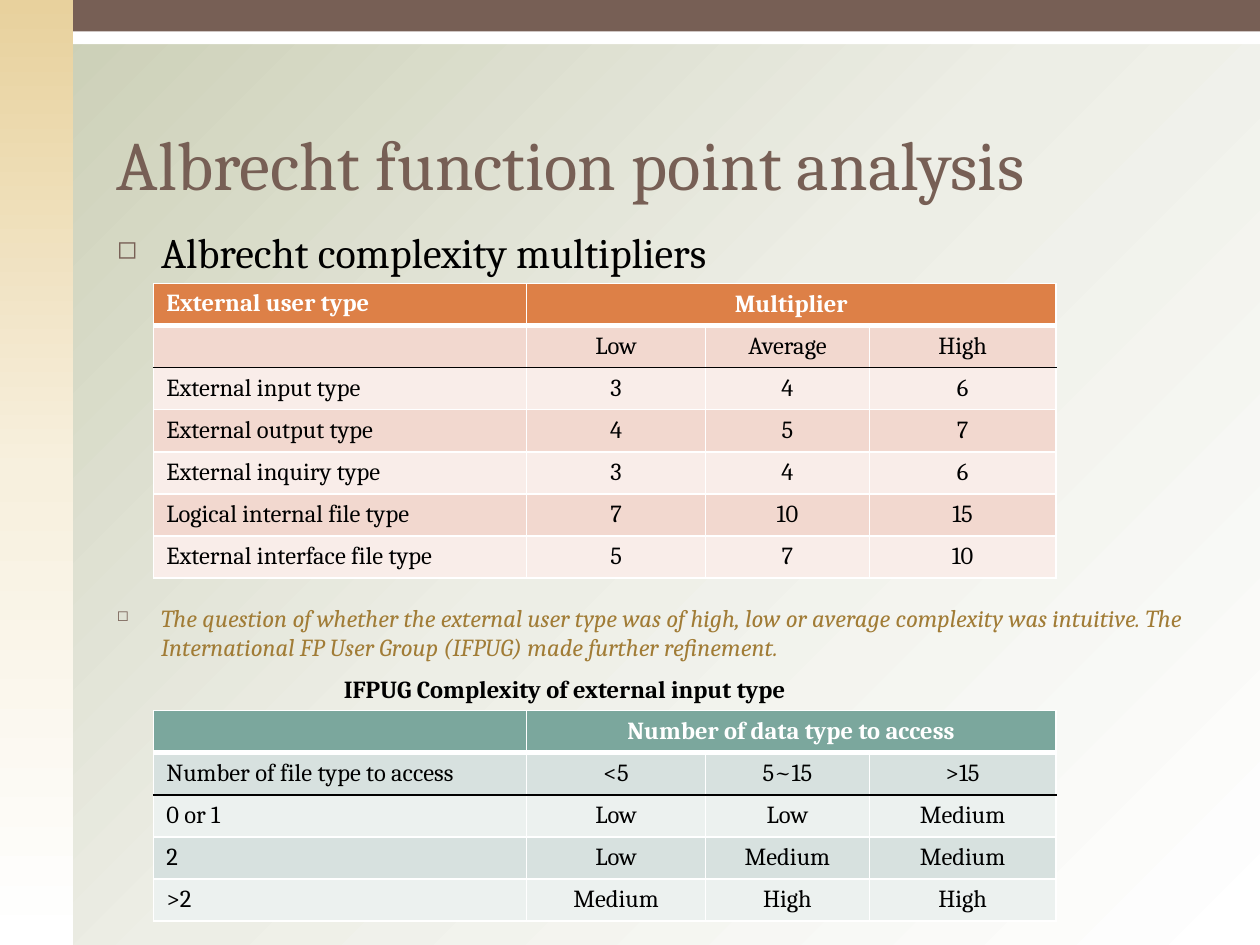
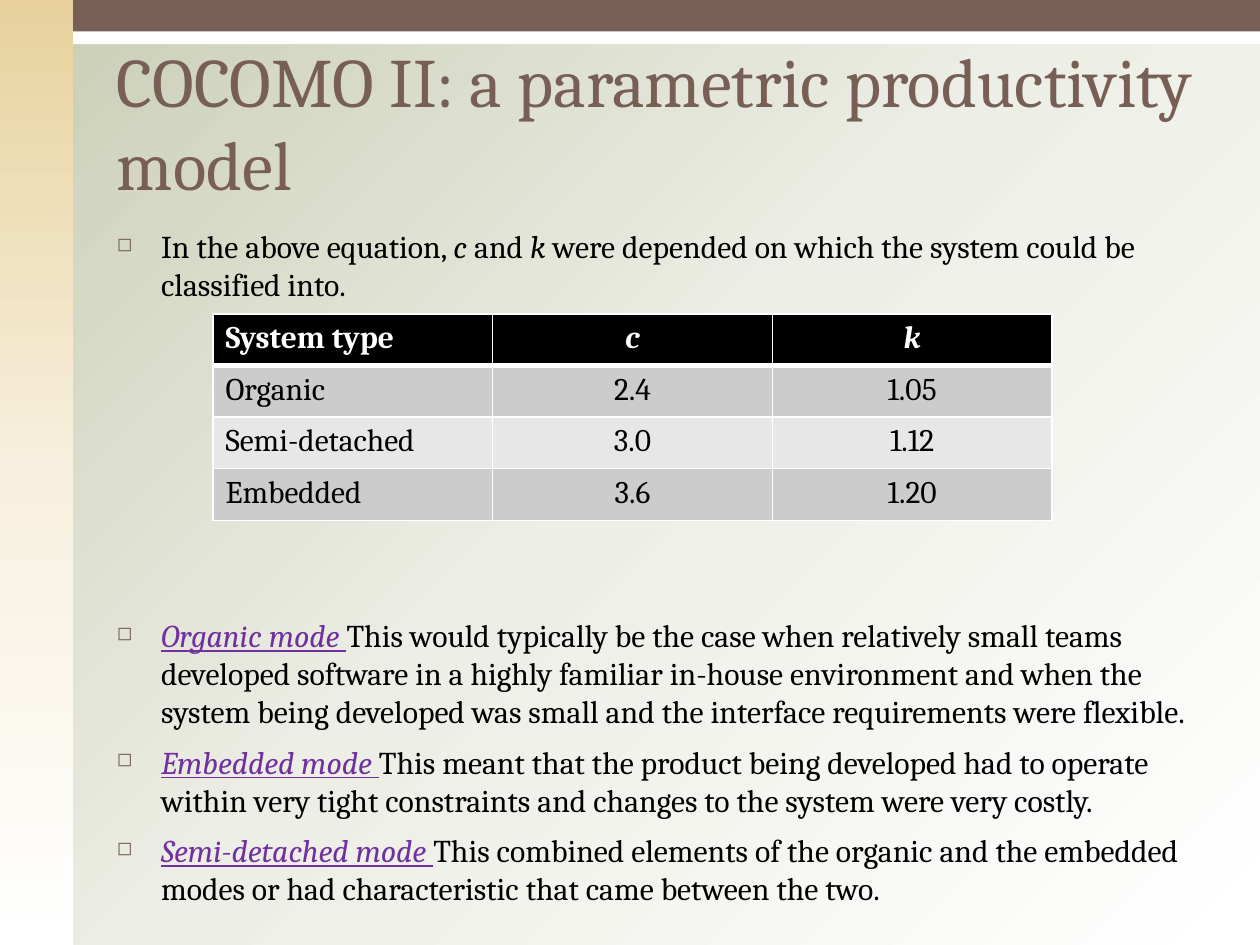
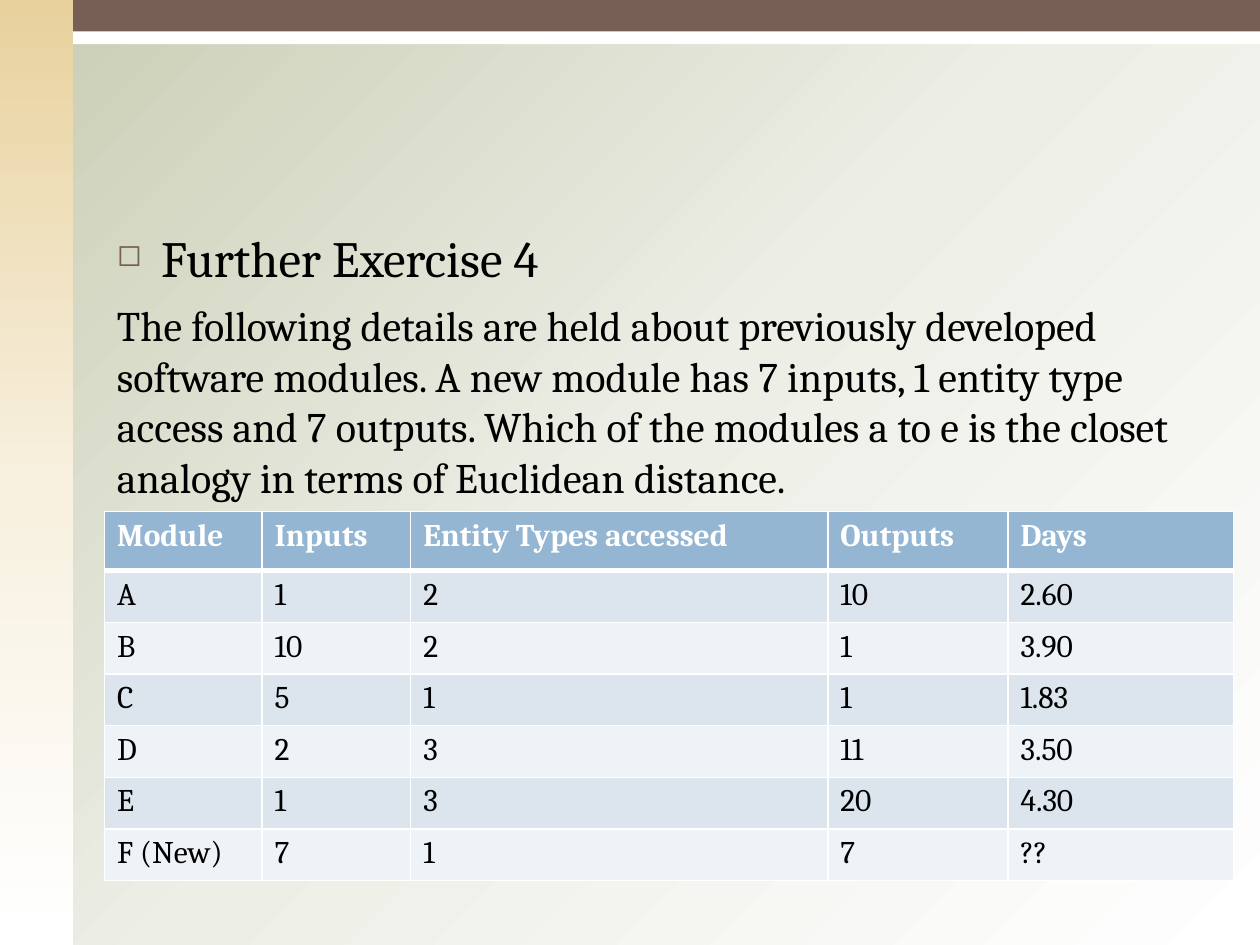
"""Build three slides on function points, COCOMO II and estimation by analogy."""
from lxml.etree import SubElement
from pptx import Presentation
from pptx.dml.color import RGBColor
from pptx.enum.shapes import MSO_SHAPE
from pptx.enum.text import MSO_ANCHOR, PP_ALIGN
from pptx.oxml.ns import qn
from pptx.util import Inches, Pt

COLOURS = {
    "white": "FFFFFF", "black": "000000", "brown": "775F55",
    "gold": "A17C36", "purple": "7030A0",
}
BACKDROP = ["C9CDB3", "EDEEE6", "FFFFFF"]
SIDEBAR = ["E8D19D", "F7F0DE", "FFFFFF"]
TABLE_FILLS = {
    "orange": ("DD8047", "F2D8CF", "F9EDE9"),
    "teal": ("7BA79D", "D7E1DF", "ECF1EF"),
    "grey": ("000000", "CCCCCC", "E7E7E7"),
    "blue": ("94B6D2", "DCE5EE", "EEF3F7"),
}
FONT = "Cambria"
MODE = dict(colour="purple", italic=True, underline=True)


def write(paragraph, text, size=18, colour="black", bold=False, italic=False, underline=False):
    """Add formatted text to a paragraph, or only its size when there is no text."""
    if not text:
        SubElement(paragraph._p, qn("a:endParaRPr"), sz=str(size * 100))
        return
    run = paragraph.add_run()
    run.text = text
    font = run.font
    font.name, font.size = FONT, Pt(size)
    font.bold, font.italic, font.underline = bold, italic, underline
    font.color.rgb = RGBColor.from_string(COLOURS[colour])


def paint_gradient(owner, fill, stops, angle):
    """Fill with evenly spaced colour stops along an angle in degrees."""
    fill.gradient()
    gradient = owner.element.find(".//" + qn("a:gradFill"))
    stop_list = gradient.find(qn("a:gsLst"))
    for stop in list(stop_list):
        stop_list.remove(stop)
    for index, colour in enumerate(stops):
        position = index * 100000 // (len(stops) - 1)
        stop = SubElement(stop_list, qn("a:gs"), pos=str(position))
        SubElement(stop, qn("a:srgbClr"), val=colour)
    gradient.find(qn("a:lin")).set("ang", str(angle * 60000))


class Deck:
    """Hold the shared style and the current slide."""

    def __init__(self):
        """Start a presentation of 10 by 7.5 inches."""
        self.presentation = Presentation()
        self.presentation.slide_width = Inches(10)
        self.presentation.slide_height = Inches(7.5)
        self.slide = None

    def new_slide(self, title=None):
        """Add a slide with its backdrop, bands and optional title."""
        self.slide = self.presentation.slides.add_slide(self.presentation.slide_layouts[6])
        paint_gradient(self.slide, self.slide.background.fill, BACKDROP, 45)
        self.band(0, 0, 10, 0.35, "white")
        sidebar = self.band(0, 0, 0.58, 7.5, "white")
        paint_gradient(sidebar, sidebar.fill, SIDEBAR, 90)
        self.band(0.58, 0, 9.42, 0.25, "brown")
        if title:
            frame = self.text_frame(0.42, 1.25)
            frame.vertical_anchor = MSO_ANCHOR.BOTTOM
            write(frame.paragraphs[0], title, size=39.6, colour="brown")

    def band(self, left, top, width, height, colour):
        """Draw a plain rectangle."""
        band = self.slide.shapes.add_shape(
            MSO_SHAPE.RECTANGLE, Inches(left), Inches(top), Inches(width), Inches(height))
        band.shadow.inherit = False
        band.fill.solid()
        band.fill.fore_color.rgb = RGBColor.from_string(COLOURS[colour])
        band.line.fill.background()
        return band

    def text_frame(self, top, height):
        """Add a wrapping text box across the content column."""
        frame = self.slide.shapes.add_textbox(
            Inches(0.83), Inches(top), Inches(8.75), Inches(height)).text_frame
        frame.word_wrap = True
        return frame

    def body(self, *items):
        """Write paragraphs given as (segments, layout) pairs."""
        frame = self.text_frame(1.75, 5)
        for index, (segments, layout) in enumerate(items):
            paragraph = frame.add_paragraph() if index else frame.paragraphs[0]
            self.lay_out(paragraph, **layout)
            for text, style in segments:
                write(paragraph, text, **style)

    def lay_out(self, paragraph, before=7, bullet=True, indent=0):
        """Set the spacing, indent and bullet of a paragraph."""
        paragraph.space_before = Pt(before)
        properties = paragraph._p.get_or_add_pPr()
        properties.set("marL", str(Inches(0.35 if bullet else indent)))
        properties.set("indent", str(Inches(-0.35 if bullet else 0)))
        if bullet:
            tint = SubElement(properties, qn("a:buClr"))
            SubElement(tint, qn("a:srgbClr"), val=COLOURS["brown"])
            SubElement(properties, qn("a:buSzPct"), val="60000")
            SubElement(properties, qn("a:buChar"), char="◻")

    def table(self, left, top, widths, heights, rows, theme, size=18, centred=True,
              anchor=MSO_ANCHOR.TOP, wide_header=False, italic_header=False):
        """Add a banded table; a wide header spans all but the first column."""
        table = self.slide.shapes.add_table(
            len(rows), len(widths), Inches(left), Inches(top),
            Inches(sum(widths)), Inches(sum(heights))).table
        table.horz_banding = False
        for column, width in zip(table.columns, widths):
            column.width = Inches(width)
        rules = [("white", 1), ("white", 3)] + [("white", 1)] * (len(rows) - 1)
        if wide_header:
            rules[2] = ("black", 1)
            table.cell(0, 1).merge(table.cell(0, len(widths) - 1))
        header_fill, *stripes = TABLE_FILLS[theme]
        for r, values in enumerate(rows):
            table.rows[r].height = Inches(heights[r])
            for c, value in enumerate(values):
                cell = table.cell(r, c)
                cell.fill.solid()
                cell.fill.fore_color.rgb = RGBColor.from_string(
                    stripes[(r - 1) % 2] if r else header_fill)
                self.cell_borders(cell, rules[r], rules[r + 1])
                paragraph = cell.text_frame.paragraphs[0]
                if c and centred:
                    paragraph.alignment = PP_ALIGN.CENTER
                    cell.vertical_anchor = anchor
                write(paragraph, value, size=size, colour="black" if r else "white",
                      bold=r == 0, italic=italic_header and r == 0 and c > 0)

    def cell_borders(self, cell, above, below):
        """Rule the four sides of a cell."""
        properties = cell._tc.get_or_add_tcPr()
        side = ("white", 1)
        for index, (tag, (colour, width)) in enumerate(
                zip(("lnL", "lnR", "lnT", "lnB"), (side, side, above, below))):
            line = SubElement(properties, qn("a:" + tag), w=str(Pt(width)))
            SubElement(SubElement(line, qn("a:solidFill")), qn("a:srgbClr"), val=COLOURS[colour])
            properties.insert(index, line)


def function_points(deck):
    """Show the complexity multipliers and their refinement."""
    deck.new_slide("Albrecht function point analysis")
    deck.body(
        ([("Albrecht complexity multipliers", dict(size=24))], {}),
        ([("The question of whether the external user type was of high, low or average "
           "complexity was intuitive. The International FP User Group (IFPUG) made further "
           "refinement.", dict(size=14, colour="gold", italic=True))], dict(before=186)),
        ([("IFPUG Complexity of external input type", dict(size=14, bold=True))],
         dict(bullet=False, indent=1.8)))
    shared = dict(size=14, anchor=MSO_ANCHOR.MIDDLE, wide_header=True)
    widths = [2.96, 1.42, 1.3, 1.48]
    multipliers = [
        ["External user type", "Multiplier", "", ""],
        ["", "Low", "Average", "High"],
        ["External input type", "3", "4", "6"],
        ["External output type", "4", "5", "7"],
        ["External inquiry type", "3", "4", "6"],
        ["Logical internal file type", "7", "10", "15"],
        ["External interface file type", "5", "7", "10"],
    ]
    complexity = [
        ["", "Number of data type to access", "", ""],
        ["Number of file type to access", "<5", "5~15", ">15"],
        ["0 or 1", "Low", "Low", "Medium"],
        ["2", "Low", "Medium", "Medium"],
        [">2", "Medium", "High", "High"],
    ]
    for top, rows, theme in ((2.25, multipliers, "orange"), (5.64, complexity, "teal")):
        deck.table(1.22, top, widths, [0.33] + [0.3] * (len(rows) - 1), rows, theme, **shared)


def cocomo(deck):
    """Show the constants of each system type and describe the modes."""
    deck.new_slide("COCOMO II: a parametric productivity model")
    plain = dict(size=18.1)
    variable = dict(plain, italic=True)
    mode = dict(plain, **MODE)
    deck.body(
        ([("In the above equation, ", plain), ("c", variable), (" and ", plain),
          ("k", variable),
          (" were depended on which the system could be classified into.", plain)], {}),
        ([("Organic mode ", mode),
          ("This would typically be the case when relatively small teams developed software "
           "in a highly familiar in-house environment and when the system being developed was "
           "small and the interface requirements were flexible.", plain)], dict(before=179)),
        ([("Embedded mode ", mode),
          ("This meant that the product being developed had to operate within very tight "
           "constraints and changes to the system were very costly.", plain)], {}),
        ([("Semi-detached mode ", mode),
          ("This combined elements of the organic and the embedded modes or had "
           "characteristic that came between the two.", plain)], {}))
    constants = [
        ["System type", "c", "k"],
        ["Organic", "2.4", "1.05"],
        ["Semi-detached", "3.0", "1.12"],
        ["Embedded", "3.6", "1.20"],
    ]
    deck.table(1.69, 2.49, [2.22] * 3, [0.41] * 4, constants, "grey", italic_header=True)


def analogy_exercise(deck):
    """Set the exercise on the closest module."""
    deck.new_slide()
    deck.body(
        ([("Further Exercise 4", dict(size=29))], {}),
        ([("The following details are held about previously developed software modules. A new "
           "module has 7 inputs, 1 entity type access and 7 outputs. Which of the modules a to "
           "e is the closet analogy in terms of Euclidean distance.", dict(size=24))],
         dict(bullet=False)))
    modules = [
        ["Module", "Inputs", "Entity Types accessed", "Outputs", "Days"],
        ["A", "1", "2", "10", "2.60"],
        ["B", "10", "2", "1", "3.90"],
        ["C", "5", "1", "1", "1.83"],
        ["D", "2", "3", "11", "3.50"],
        ["E", "1", "3", "20", "4.30"],
        ["F (New)", "7", "1", "7", "??"],
    ]
    deck.table(0.83, 4.06, [1.25, 1.18, 3.31, 1.43, 1.79], [0.47] + [0.41] * 6,
               modules, "blue", centred=False)


def main():
    """Build and save the slides."""
    deck = Deck()
    for build in (function_points, cocomo, analogy_exercise):
        build(deck)
    deck.presentation.save("out.pptx")


if __name__ == "__main__":
    main()
